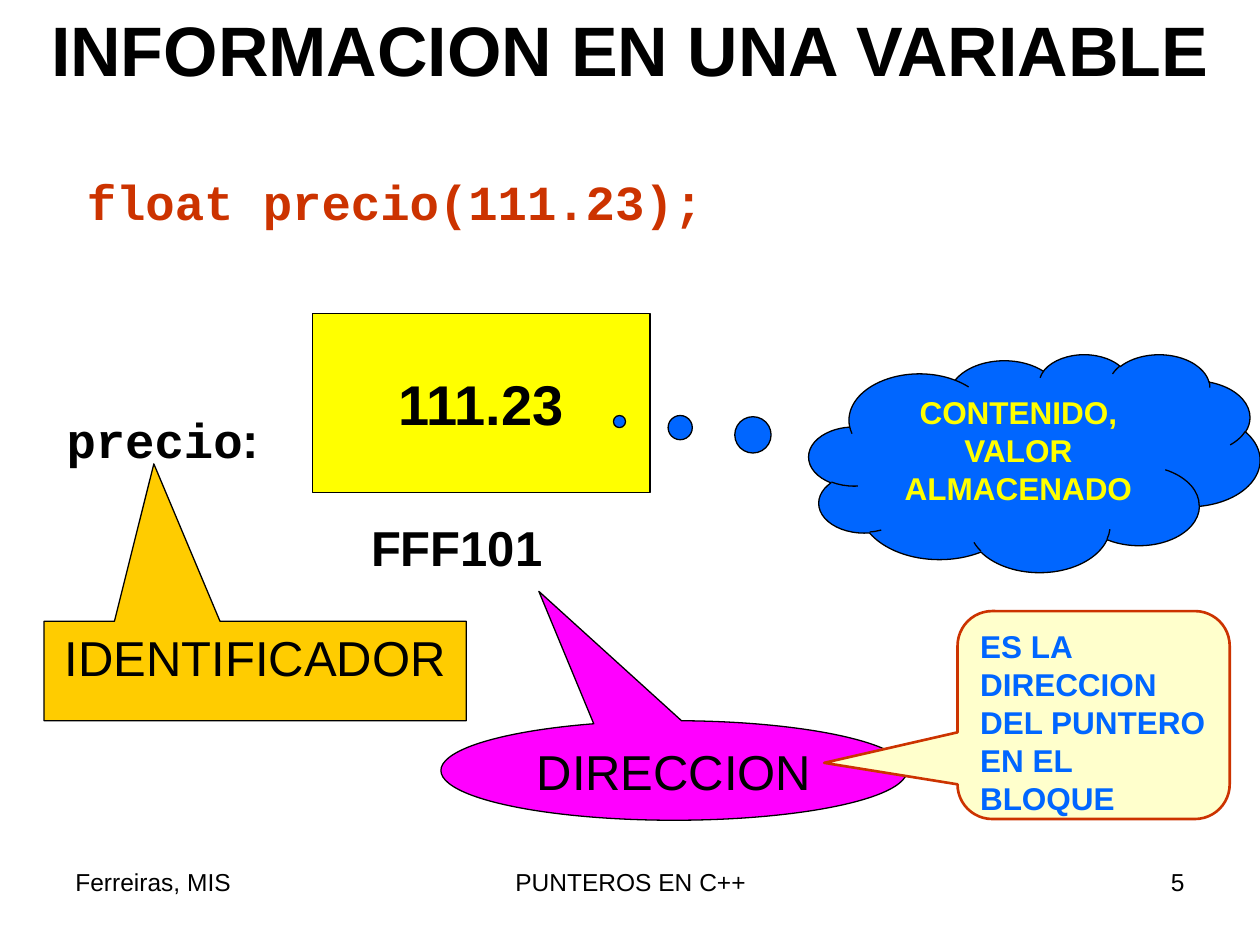
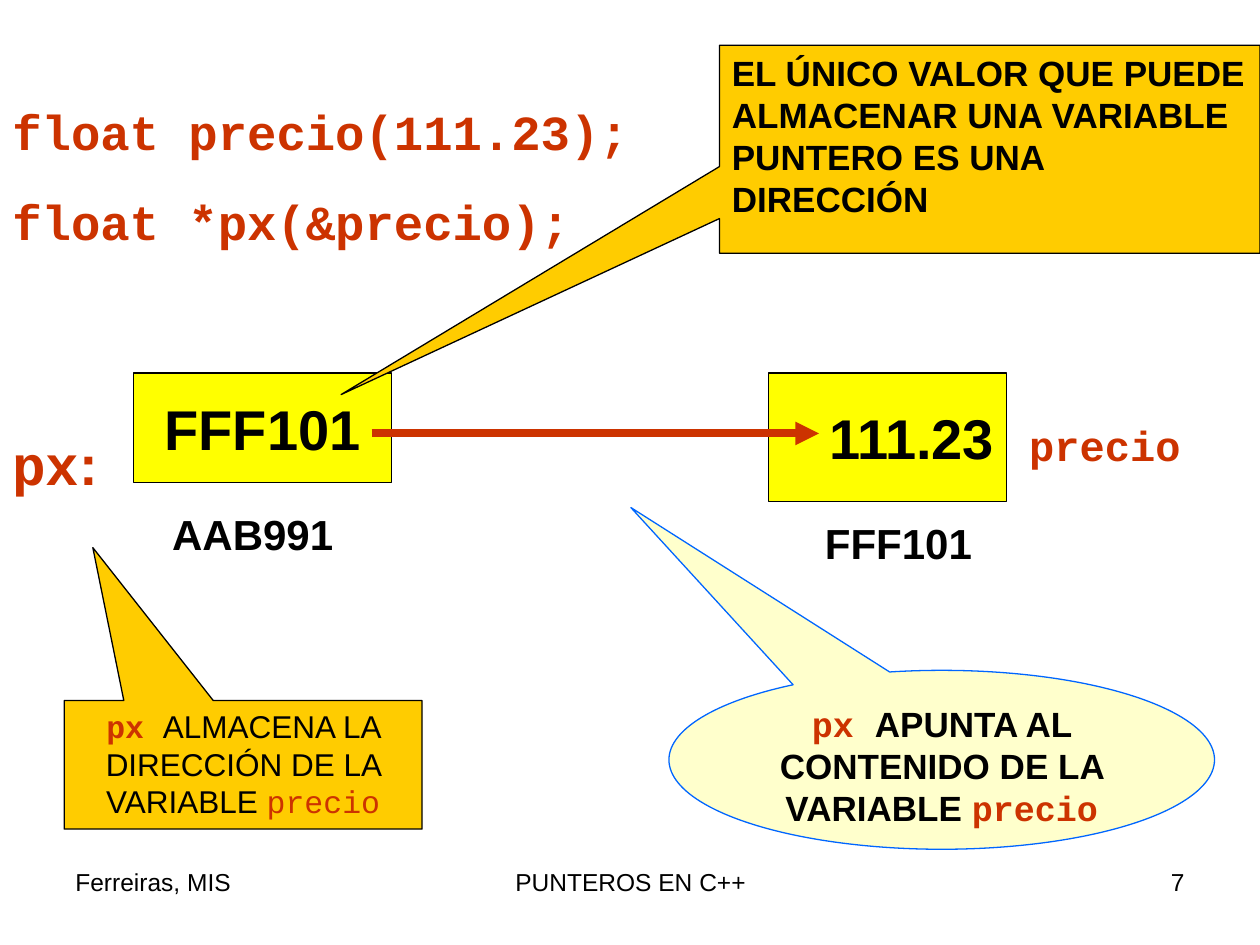
"""Build two slides on the information held in a variable and in a pointer."""
from lxml import etree
from pptx import Presentation
from pptx.dml.color import RGBColor
from pptx.enum.shapes import MSO_CONNECTOR, MSO_SHAPE
from pptx.enum.text import MSO_ANCHOR, MSO_AUTO_SIZE, PP_ALIGN
from pptx.oxml.ns import qn
from pptx.util import Inches, Pt

BLACK = RGBColor(0x00, 0x00, 0x00)
RED = RGBColor(0xCC, 0x33, 0x00)
BLUE = RGBColor(0x00, 0x66, 0xFF)
YELLOW = RGBColor(0xFF, 0xFF, 0x00)
GOLD = RGBColor(0xFF, 0xCC, 0x00)
PINK = RGBColor(0xFF, 0x00, 0xFF)
CREAM = RGBColor(0xFF, 0xFF, 0xCC)

LEFT, CENTER, RIGHT = PP_ALIGN.LEFT, PP_ALIGN.CENTER, PP_ALIGN.RIGHT
TOP, MIDDLE = MSO_ANCHOR.TOP, MSO_ANCHOR.MIDDLE
RECT, CLOUD = MSO_SHAPE.RECTANGLE, MSO_SHAPE.CLOUD_CALLOUT
WEDGE, OVAL = MSO_SHAPE.RECTANGULAR_CALLOUT, MSO_SHAPE.OVAL_CALLOUT
ROUND = MSO_SHAPE.ROUNDED_RECTANGULAR_CALLOUT
SANS, MONO = "Arial", "Courier New"


def set_font(font, color=BLACK, bold=True, name=SANS):
    """Set the colour, weight and face of a font."""
    font.color.rgb = color
    font.bold = bold
    font.name = name


def set_text(shape, lines, size, align=LEFT, anchor=TOP, **look):
    """Write lines; a line is a string or a list of (text, look) runs."""
    frame = shape.text_frame
    frame.word_wrap = True
    frame.auto_size = MSO_AUTO_SIZE.NONE
    frame.vertical_anchor = anchor
    for i, line in enumerate(lines):
        para = frame.add_paragraph() if i else frame.paragraphs[0]
        para.alignment = align
        para.font.size = Pt(size)
        if i:
            para.space_before = Pt(size * 0.625)
        if isinstance(line, str):
            para.text = line
            set_font(para.font, **look)
        else:
            for text, style in line:
                run = para.add_run()
                run.text = text
                set_font(run.font, **style)


def add_label(slide, area, lines, size, align=LEFT, **look):
    """Add a plain text box."""
    box = slide.shapes.add_textbox(*map(Inches, area))
    set_text(box, lines, size, align, **look)


def add_box(slide, kind, area, fill, line=BLACK, width=0.75, tip=()):
    """Add a filled shape, with the tip of a callout as shares of its size."""
    shape = slide.shapes.add_shape(kind, *map(Inches, area))
    shape.shadow.inherit = False
    shape.fill.solid()
    shape.fill.fore_color.rgb = fill
    shape.line.color.rgb = line
    shape.line.width = Pt(width)
    for i, value in enumerate(tip):
        shape.adjustments[i] = value
    return shape


def add_cell(slide, area, value, align=CENTER):
    """Add a yellow memory cell with its value."""
    cell = add_box(slide, RECT, area, YELLOW)
    set_text(cell, [value], 32, align, MIDDLE)


def add_arrow(slide, start, end):
    """Add a thick red arrow."""
    arrow = slide.shapes.add_connector(
        MSO_CONNECTOR.STRAIGHT, *map(Inches, start + end))
    arrow.line.color.rgb = RED
    arrow.line.width = Pt(4.5)
    line = arrow.line._get_or_add_ln()
    etree.SubElement(line, qn("a:tailEnd"), type="triangle")
    etree.SubElement(arrow._element.spPr, qn("a:effectLst"))


def add_foot(slide, number):
    """Add the author, the topic and the slide number."""
    parts = [(0.5, 2.33, "Ferreiras, MIS", LEFT),
             (3.42, 3.17, "PUNTEROS EN C++", CENTER),
             (7.17, 2.33, str(number), RIGHT)]
    for left, width, text, align in parts:
        area = (left, 6.83, width, 0.52)
        add_label(slide, area, [text], 14, align, bold=False)


def add_title(slide, text):
    """Place and style the title."""
    title = slide.shapes.title
    title.left, title.top = Inches(0), Inches(0)
    title.width, title.height = Inches(10), Inches(0.77)
    set_text(title, [text], 40, CENTER)


def build_info(slide):
    """Show the name, the content and the address of a variable."""
    add_title(slide, "INFORMACION EN UNA VARIABLE")
    add_cell(slide, (2.48, 2.49, 2.68, 1.42), "111.23")
    add_label(slide, (2.64, 4.06, 1.97, 0.57), ["FFF101"], 28, CENTER)
    name = [("precio", {"name": MONO}), (":", {})]
    add_label(slide, (0.43, 3.2, 1.81, 0.57), [name], 28)
    ident = add_box(slide, WEDGE, (0.35, 4.93, 3.35, 0.79), GOLD,
                    tip=(-0.24, -2.08))
    set_text(ident, ["IDENTIFICADOR"], 28, CENTER, bold=False)
    place = add_box(slide, OVAL, (3.5, 5.72, 3.7, 0.79), PINK,
                    tip=(-0.29, -1.8))
    set_text(place, ["DIRECCION"], 28, CENTER, bold=False)
    cloud = add_box(slide, CLOUD, (6.42, 2.81, 3.58, 1.73), BLUE,
                    tip=(-0.92, -0.19))
    set_text(cloud, ["CONTENIDO, VALOR ALMACENADO"], 18, CENTER, color=YELLOW)
    add_label(slide, (0.59, 1.31, 7.72, 0.57), ["float precio(111.23);"], 28,
              color=RED, name=MONO)
    note = add_box(slide, ROUND, (7.6, 4.85, 2.16, 1.65), CREAM, RED, 1.5,
                   (-0.99, 0.23))
    set_text(note, ["ES LA DIRECCION DEL PUNTERO EN EL BLOQUE"], 18,
             color=BLUE)
    add_foot(slide, 5)


def build_link(slide):
    """Show a pointer that holds the address of a variable."""
    code = {"color": RED, "name": MONO}
    add_cell(slide, (1.06, 2.96, 2.05, 0.87), "FFF101")
    add_label(slide, (1.14, 3.99, 1.73, 0.5), ["AAB991"], 24, CENTER)
    name = [("px", code), (":", {"color": RED})]
    add_label(slide, (0, 3.36, 0.9, 0.64), [name], 32)
    aim = add_box(slide, OVAL, (5.31, 5.32, 4.33, 1.42), CREAM, BLUE,
                  tip=(-0.57, -1.41))
    set_text(aim, [[("px ", code), ("APUNTA AL CONTENIDO DE LA VARIABLE ", {}),
                    ("precio", code)]], 20, CENTER)
    add_label(slide, (0, 0.76, 5.63, 1.28),
              ["float precio(111.23);", "float *px(&precio);"], 28, **code)
    add_cell(slide, (6.1, 2.96, 1.89, 1.02), "111.23", RIGHT)
    add_arrow(slide, (2.95, 3.44), (6.5, 3.44))
    add_label(slide, (8.07, 3.28, 1.58, 0.5), ["precio"], 24, **code)
    add_label(slide, (6.42, 4.06, 1.42, 0.5), ["FFF101"], 24, CENTER)
    store = add_box(slide, WEDGE, (0.51, 5.56, 2.84, 1.02), GOLD,
                    tip=(-0.42, -1.69))
    set_text(store, [[("px ", code),
                      ("ALMACENA LA DIRECCIÓN DE LA VARIABLE ",
                       {"bold": False}),
                      ("precio", {**code, "bold": False})]], 18, CENTER)
    rule = add_box(slide, WEDGE, (5.71, 0.36, 4.29, 1.65), GOLD,
                   tip=(-1.2, 1.18))
    set_text(rule, ["EL ÚNICO VALOR QUE PUEDE ALMACENAR UNA VARIABLE "
                    "PUNTERO ES UNA DIRECCIÓN"], 20)
    add_foot(slide, 7)


def main():
    """Build and save the slides."""
    deck = Presentation()
    deck.slide_width, deck.slide_height = Inches(10), Inches(7.5)
    build_info(deck.slides.add_slide(deck.slide_layouts[5]))
    build_link(deck.slides.add_slide(deck.slide_layouts[6]))
    deck.save("out.pptx")


if __name__ == "__main__":
    main()
